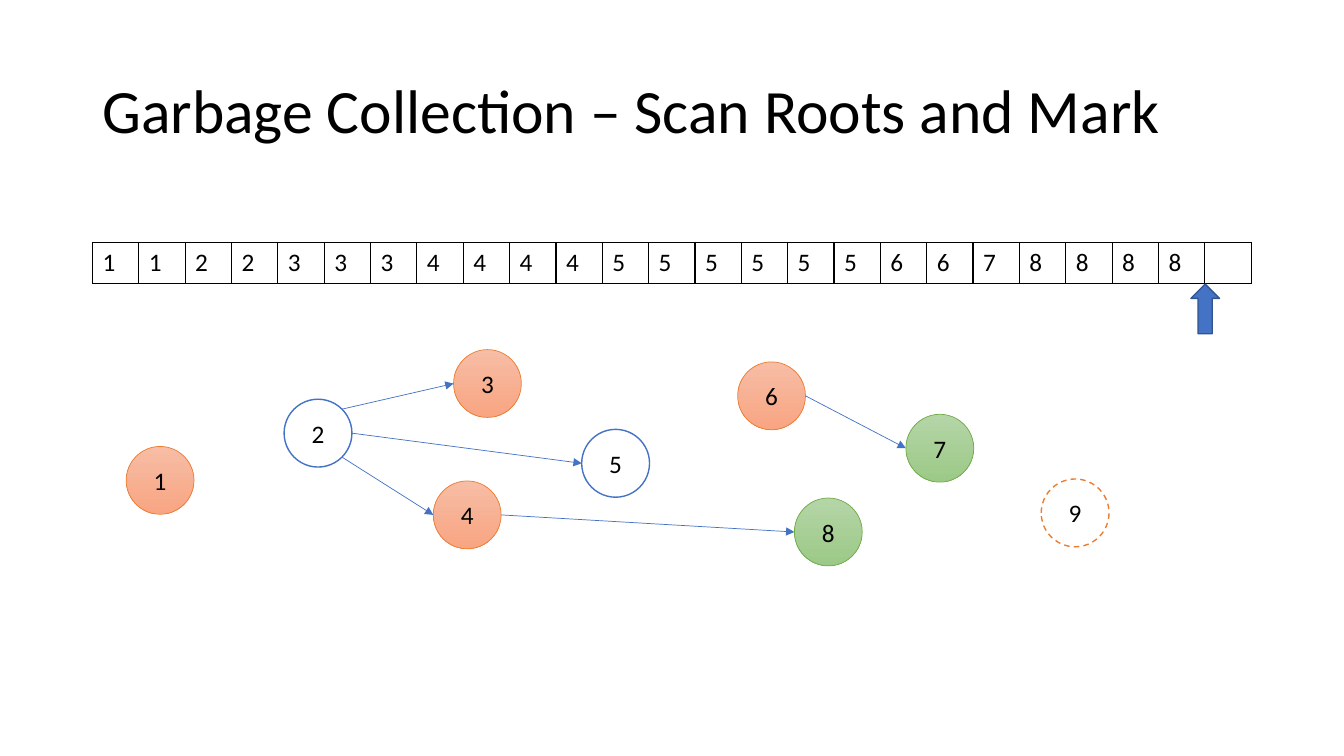
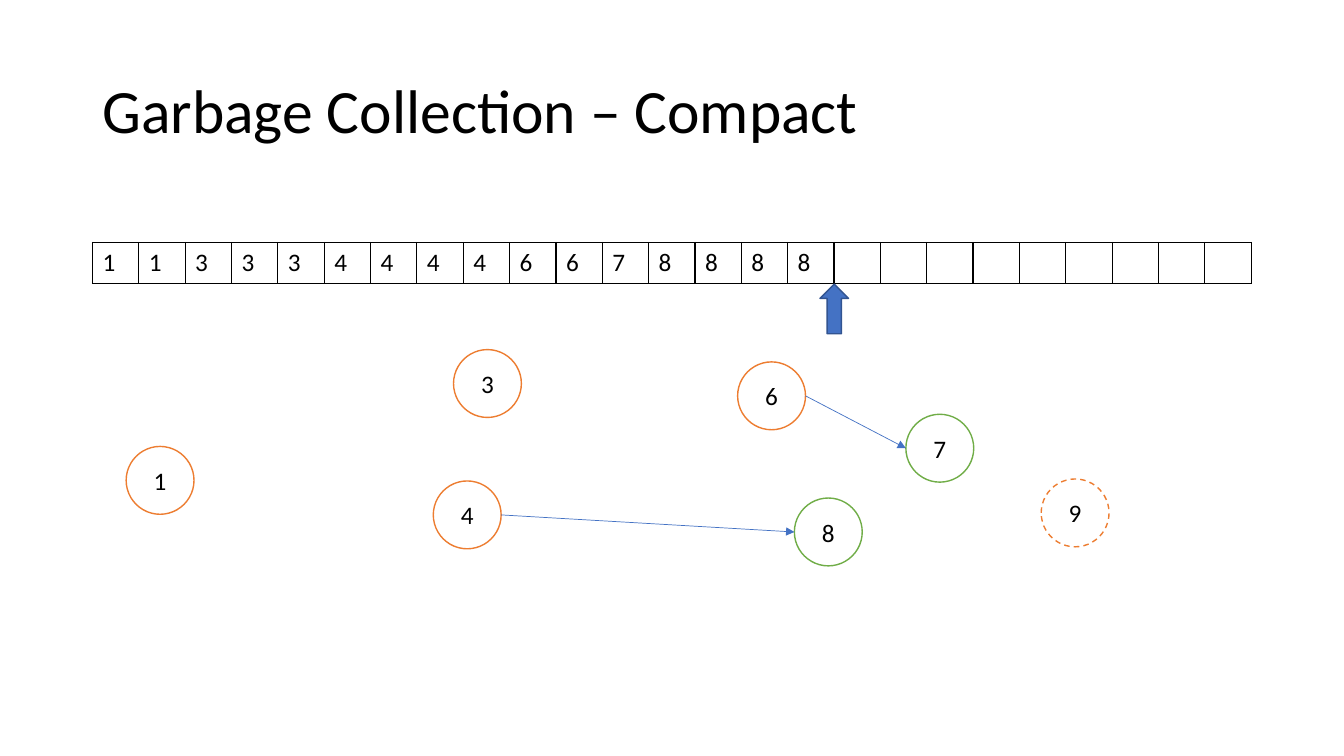
from math import cos, radians, sin

from lxml import etree
from pptx import Presentation
from pptx.dml.color import RGBColor
from pptx.enum.dml import MSO_LINE
from pptx.enum.shapes import MSO_CONNECTOR, MSO_SHAPE
from pptx.enum.text import MSO_ANCHOR, PP_ALIGN
from pptx.oxml.ns import qn
from pptx.util import Cm, Pt

OVAL, ARROW = MSO_SHAPE.OVAL, MSO_SHAPE.UP_ARROW
LINE, DASH = MSO_CONNECTOR.STRAIGHT, MSO_LINE.DASH
LEFT, CENTER = PP_ALIGN.LEFT, PP_ALIGN.CENTER
TOP, MIDDLE = MSO_ANCHOR.TOP, MSO_ANCHOR.MIDDLE

FONT = "Calibri"
COLORS = {
    "text": "000000", "white": "FFFFFF", "edge": "325491",
    "blue": "4472C4", "orange": "ED7D31", "green": "70AD47",
}
SHADES = {"orange": ("F7BDA5", "F8A582"), "green": ("B5D5A7", "9CC987")}

# Cells that each object takes in the heap
SIZES = {1: 2, 2: 2, 3: 3, 4: 4, 5: 6, 6: 2, 7: 1, 8: 4}
CELLS = 25
# Object: left, top (cm), colour
NODES = {
    1: (3.18, 11.25, "orange"), 2: (7.16, 10.06, "blue"),
    3: (11.43, 8.81, "orange"), 4: (10.92, 12.12, "orange"),
    5: (14.66, 10.82, "blue"), 6: (18.59, 9.12, "orange"),
    7: (22.83, 10.44, "green"), 8: (20.02, 12.55, "green"),
    9: (26.24, 12.07, "orange"),
}
# From, to, angle at which the link leaves
LINKS = [(2, 3, -45), (2, 5, 0), (2, 4, 45), (4, 8, 0), (6, 7, 0)]
# Title, objects present, whether live objects are marked
SLIDES = [
    ("Garbage Collection – Scan Roots and Mark", range(1, 10), True),
    ("Garbage Collection – Compact", (1, 3, 4, 6, 7, 8, 9), False),
]

EDGE, WIDTH = 2.33, 29.21
HEAP_TOP, ROW = 5.08, 1.03
STEP = WIDTH / CELLS
DIAM = 1.71
TIP_W, TIP_H, TIP_TOP = 0.72, 1.25, 7.16


def rgb(name):
    """Give the colour for a palette name or a hex string."""
    return RGBColor.from_string(COLORS.get(name, name))


def write(box, text, size=18, align=LEFT, anchor=TOP, space=1.0):
    """Put formatted text in a shape or a text box."""
    frame = box.text_frame
    frame.word_wrap = True
    frame.vertical_anchor = anchor
    para = frame.paragraphs[0]
    para.alignment, para.line_spacing = align, space
    run = para.add_run()
    run.text = text
    run.font.name, run.font.size = FONT, Pt(size)
    run.font.color.rgb = rgb("text")


def add_form(slide, kind, place, fill, line, width=1):
    """Add a flat preset shape."""
    form = slide.shapes.add_shape(kind, *map(Cm, place))
    form.shadow.inherit = False
    form.fill.solid()
    form.fill.fore_color.rgb = rgb(fill)
    form.line.color.rgb = rgb(line)
    form.line.width = Pt(width)
    return form


def add_title(slide, text):
    """Add the slide title."""
    box = slide.shapes.add_textbox(Cm(EDGE), Cm(1.01), Cm(WIDTH), Cm(3.68))
    write(box, text, size=44, anchor=MIDDLE, space=0.9)


def set_edges(cell, sides):
    """Draw thin black borders on the named sides of a cell."""
    props = cell._tc.get_or_add_tcPr()
    for place, side in enumerate(sides):
        line = etree.Element(qn("a:ln" + side), w=str(Pt(1)))
        fill = etree.SubElement(line, qn("a:solidFill"))
        etree.SubElement(fill, qn("a:srgbClr"), val=COLORS["text"])
        props.insert(place, line)


def add_heap(slide, used):
    """Add the heap, a row of cells below one open merged row."""
    table = slide.shapes.add_table(
        2, CELLS, Cm(EDGE), Cm(HEAP_TOP), Cm(WIDTH), Cm(2 * ROW)).table
    table.first_row = table.horz_banding = False
    for row in table.rows:
        row.height = Cm(ROW)
    for num in range(CELLS):
        table.columns[num].width = Cm(STEP)
        for row, sides in enumerate(("B", "LRTB")):
            cell = table.cell(row, num)
            cell.fill.background()
            set_edges(cell, sides)
        if num < len(used):
            write(cell, str(used[num]))
    table.cell(0, 0).merge(table.cell(0, CELLS - 1))


def add_tip(slide, count):
    """Point at the first free cell of the heap."""
    left = EDGE + count * STEP - TIP_W / 2
    add_form(slide, ARROW, (left, TIP_TOP, TIP_W, TIP_H), "blue", "edge")


def add_node(slide, num, marked):
    """Add one object, shaded if it is marked."""
    left, top, color = NODES[num]
    shade = marked and num in SIZES and SHADES.get(color)
    node = add_form(slide, OVAL, (left, top, DIAM, DIAM), "white", color,
                    width=0.5 if shade else 1)
    if shade:
        node.fill.gradient()
        node.fill.gradient_angle = 270
        for stop, tone in zip(node.fill.gradient_stops, shade):
            stop.color.rgb = rgb(tone)
    if num not in SIZES:
        node.line.dash_style = DASH
    write(node, str(num), align=CENTER, anchor=MIDDLE)


def rim(num, angle):
    """Give the point on the edge of a node at an angle."""
    left, top, _ = NODES[num]
    turn, half = radians(angle), DIAM / 2
    return Cm(left + half + half * cos(turn)), Cm(top + half + half * sin(turn))


def add_link(slide, start, end, angle):
    """Add an arrow from one node to the left side of another."""
    link = slide.shapes.add_connector(LINE, *rim(start, angle), *rim(end, 180))
    link.line.color.rgb = rgb("blue")
    link.line.width = Pt(0.5)
    etree.SubElement(link.line._get_or_add_ln(), qn("a:tailEnd"),
                     type="triangle")
    etree.SubElement(link._element.spPr, qn("a:effectLst"))


def main():
    """Build and save the slides."""
    deck = Presentation()
    deck.slide_width, deck.slide_height = Cm(33.87), Cm(19.05)
    for title, nodes, marked in SLIDES:
        slide = deck.slides.add_slide(deck.slide_layouts[6])
        used = [num for num in nodes for _ in range(SIZES.get(num, 0))]
        add_title(slide, title)
        add_heap(slide, used)
        add_tip(slide, len(used))
        for num in nodes:
            add_node(slide, num, marked)
        for start, end, angle in LINKS:
            if start in nodes and end in nodes:
                add_link(slide, start, end, angle)
    deck.save("out.pptx")


main()
